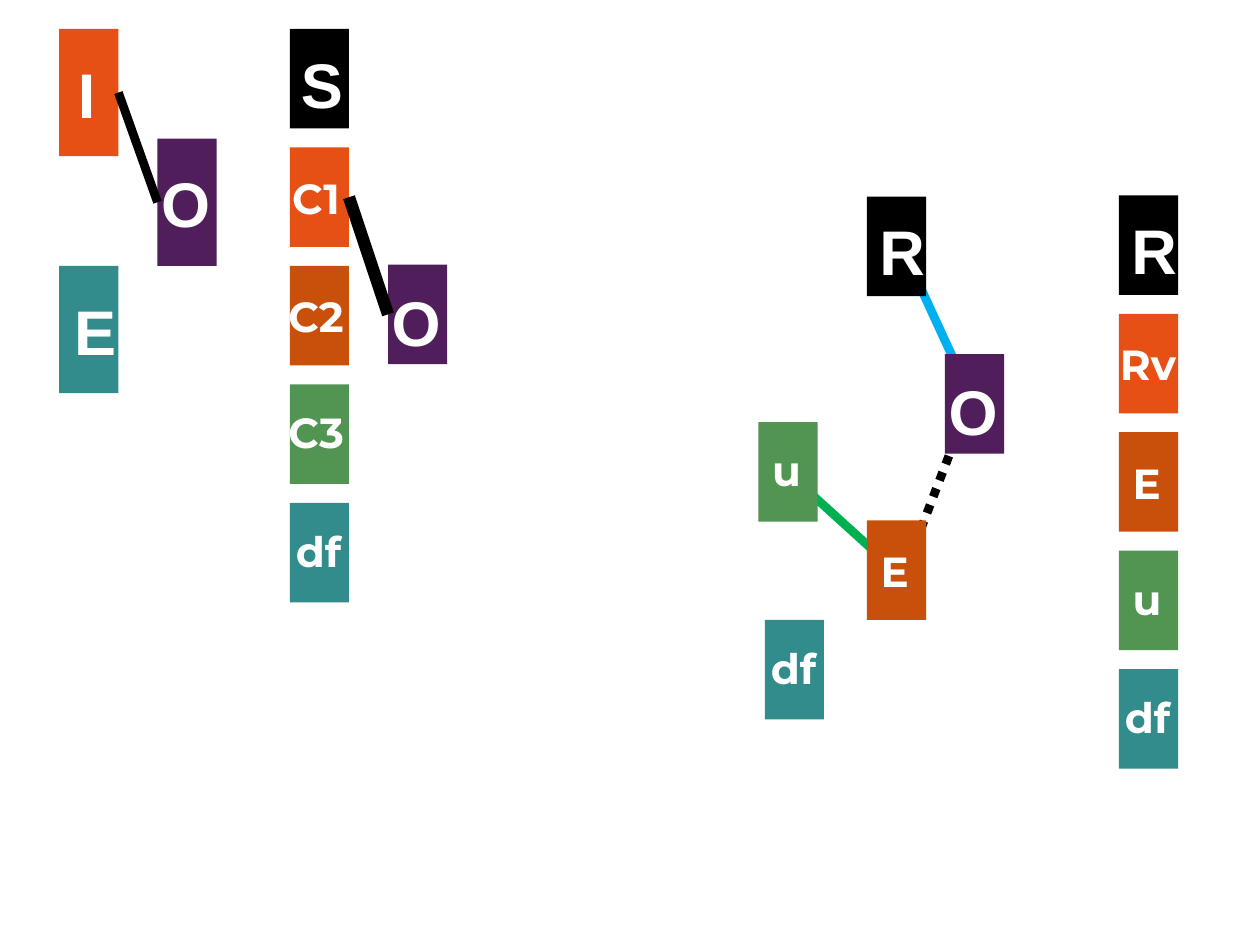
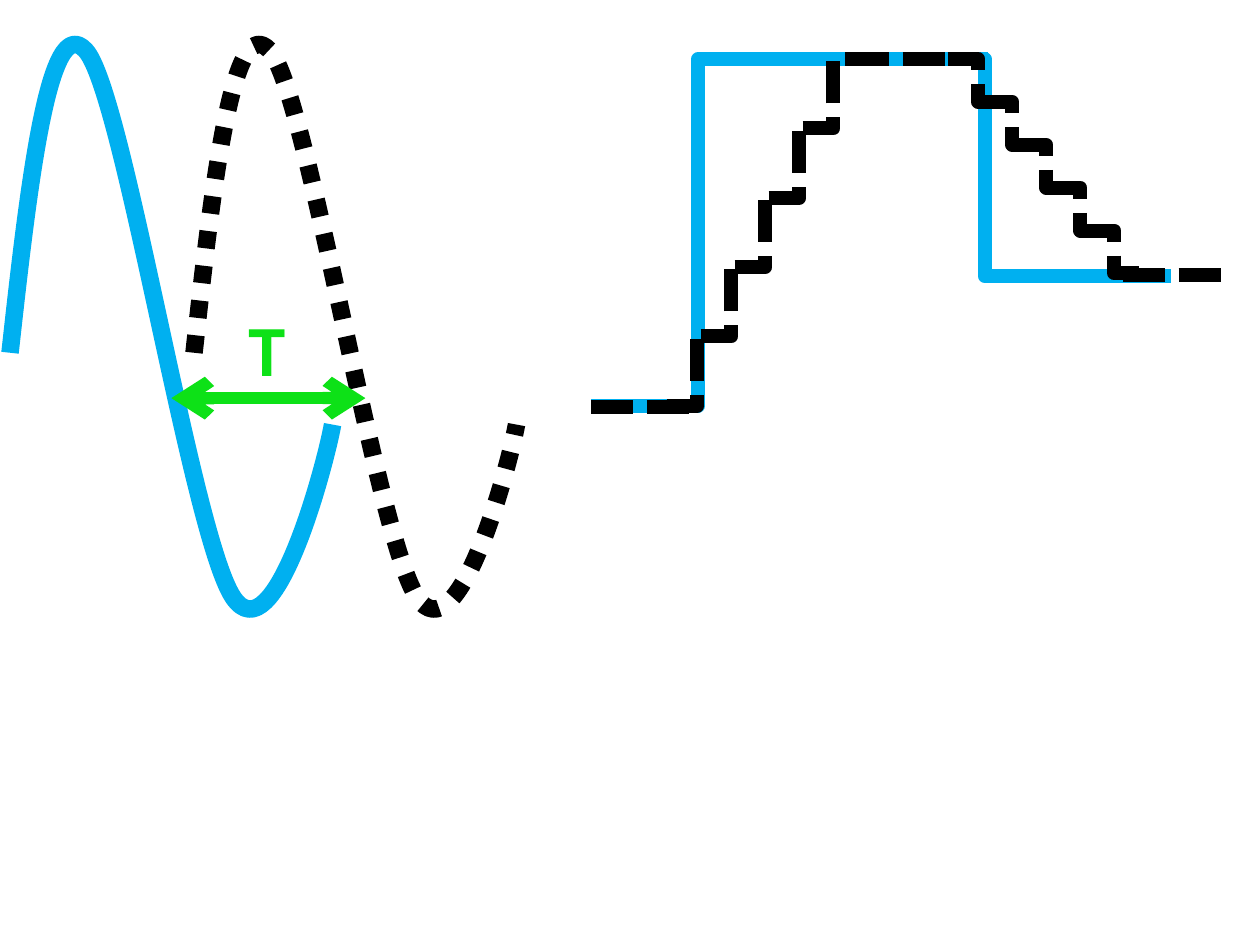
from dataclasses import dataclass

from lxml.etree import SubElement
from pptx import Presentation
from pptx.dml.color import RGBColor
from pptx.enum.dml import MSO_LINE as Dash
from pptx.enum.shapes import MSO_CONNECTOR as Connector, MSO_SHAPE as Shape
from pptx.enum.text import MSO_AUTO_SIZE as AutoSize
from pptx.oxml.ns import qn
from pptx.util import Inches, Pt


@dataclass(frozen=True)
class Theme:
    black: str = "000000"
    white: str = "FFFFFF"
    orange: str = "E65014"
    rust: str = "C8500A"
    green: str = "529452"
    teal: str = "328C8C"
    purple: str = "501E5A"
    signal_blue: str = "00B0F0"
    link_green: str = "00B050"
    delay_green: str = "0DE117"
    large: int = 36
    small: int = 24
    large_font: str = "Arial"
    small_font: str = "Montserrat"
    delay_font: str = "Noto Sans CJK JP"


THEME = Theme()
TILE_WIDTH, TILE_HEIGHT, TALL_HEIGHT = 0.47, 0.79, 1.01
TILE_PITCH = 0.94
LABEL_HEIGHTS = {THEME.large: 0.71, THEME.small: 0.5}


@dataclass(frozen=True)
class Kind:
    """A kind of tile; dx and dy place its label box relative to the tile."""
    text: str
    colour: str
    size: int
    width: float
    dx: float
    dy: float


KINDS = {
    "input": Kind("I", THEME.orange, THEME.large, 0.36, 0.05, 0.1),
    "environment": Kind("E", THEME.teal, THEME.large, 0.45, 0.02, 0.1),
    "output": Kind("O", THEME.purple, THEME.large, 0.62, -0.07, 0.1),
    "S": Kind("S", THEME.black, THEME.large, 0.49, -0.01, 0.08),
    "R": Kind("R", THEME.black, THEME.large, 0.52, 0, 0.08),
    "C1": Kind("C1", THEME.orange, THEME.small, 0.69, -0.08, 0.15),
    "C2": Kind("C2", THEME.rust, THEME.small, 0.69, -0.11, 0.15),
    "C3": Kind("C3", THEME.green, THEME.small, 0.69, -0.11, 0.13),
    "Rv": Kind("Rv", THEME.orange, THEME.small, 0.67, -0.09, 0.15),
    "E": Kind("E", THEME.rust, THEME.small, 0.45, 0.01, 0.15),
    "u": Kind("u", THEME.green, THEME.small, 0.43, 0.01, 0.13),
    "df": Kind("df", THEME.teal, THEME.small, 0.56, -0.05, 0.13),
}


def rgb(colour):
    return RGBColor.from_string(colour)


def style_line(line, colour, weight, dash=None):
    line.color.rgb = rgb(colour)
    line.width = Pt(weight)
    if dash is not None:
        line.dash_style = dash


def add_label(page, text, left, top, width, size, font, colour):
    box = page.shapes.add_textbox(Inches(left), Inches(top), Inches(width),
                                  Inches(LABEL_HEIGHTS[size]))
    frame = box.text_frame
    frame.word_wrap = False
    frame.auto_size = AutoSize.SHAPE_TO_FIT_TEXT
    span = frame.paragraphs[0].add_run()
    span.text = text
    span.font.name = font
    span.font.size = Pt(size)
    span.font.bold = True
    span.font.color.rgb = rgb(colour)


def add_tile(page, name, left, top, height=TILE_HEIGHT):
    kind = KINDS[name]
    tile = page.shapes.add_shape(Shape.RECTANGLE, Inches(left), Inches(top),
                                 Inches(TILE_WIDTH), Inches(height))
    tile.shadow.inherit = False
    tile.fill.solid()
    tile.fill.fore_color.rgb = rgb(kind.colour)
    tile.line.fill.background()
    extra = 0.06 if height == TALL_HEIGHT else 0
    font = THEME.large_font if kind.size == THEME.large else THEME.small_font
    add_label(page, kind.text, left + kind.dx, top + kind.dy + extra,
              kind.width, kind.size, font, THEME.white)
    return tile


def add_column(page, names, left, top):
    return [add_tile(page, name, left, top + row * TILE_PITCH)
            for row, name in enumerate(names)]


def add_line(page, start, end, colour, weight, dash=None, bend=None):
    """Draw a straight line, or an elbow turning at the fraction bend."""
    kind = Connector.STRAIGHT if bend is None else Connector.ELBOW
    line = page.shapes.add_connector(kind, *map(Inches, start + end))
    style_line(line.line, colour, weight, dash)
    properties = line._element.spPr
    SubElement(properties, qn("a:effectLst"))
    if bend is not None:
        guides = properties.find(qn("a:prstGeom")).find(qn("a:avLst"))
        SubElement(guides, qn("a:gd"), name="adj1",
                   fmla=f"val {round(bend * 100000)}")
    return line


def join_tiles(page, source, target, weight):
    line = add_line(page, (0, 0), (1, 1), THEME.black, weight)
    line.begin_connect(source, 3)
    line.end_connect(target, 1)


def add_arrowheads(line):
    outline = line._element.spPr.find(qn("a:ln"))
    for tag in ("a:headEnd", "a:tailEnd"):
        SubElement(outline, qn(tag), type="arrow")


def add_curve(page, points, colour, weight, dash=None):
    """Draw Bezier segments: a start point, then three points a segment."""
    start, *rest = [(Inches(x), Inches(y)) for x, y in points]
    builder = page.shapes.build_freeform(*start)
    builder.add_line_segments(rest, close=False)
    curve = builder.convert_to_shape()
    curve.shadow.inherit = False
    curve.fill.background()
    style_line(curve.line, colour, weight, dash)
    outline = next(curve._element.iter(qn("a:path")))
    corners = outline.findall(qn("a:lnTo"))
    for first in range(0, len(corners), 3):
        bezier = SubElement(outline, qn("a:cubicBezTo"))
        for corner in corners[first:first + 3]:
            bezier.append(corner[0])
            outline.remove(corner)


def build_tiles_page(page):
    add_line(page, (7.63, 3.36), (7.27, 4.3), THEME.black, 5, Dash.ROUND_DOT)
    add_line(page, (6.25, 3.75), (7.11, 4.53), THEME.link_green, 5)
    add_line(page, (7.19, 2.03), (7.66, 3.05), THEME.signal_blue, 5)

    source = add_tile(page, "input", 0.47, 0.23, TALL_HEIGHT)
    add_tile(page, "environment", 0.47, 2.11, TALL_HEIGHT)
    output = add_tile(page, "output", 1.25, 1.1, TALL_HEIGHT)
    join_tiles(page, source, output, 5)

    column = add_column(page, ("S", "C1", "C2", "C3", "df"), 2.3, 0.23)
    output = add_tile(page, "output", 3.08, 2.1)
    join_tiles(page, column[1], output, 7)

    add_column(page, ("R", "Rv", "E", "u", "df"), 8.88, 1.55)
    for name, left, top in (("output", 7.5, 2.81), ("R", 6.88, 1.56),
                            ("E", 6.88, 4.13), ("u", 6.02, 3.35),
                            ("df", 6.07, 4.92)):
        add_tile(page, name, left, top)


def add_stairs(page, left, top, rise):
    """Draw five dashed steps; a negative rise climbs the page."""
    for step in range(5):
        x, y = left + step * 0.27, top + step * rise
        add_line(page, (x, y), (x + 0.49, y + rise), THEME.black, 8,
                 Dash.SQUARE_DOT, bend=0.5)


def build_signals_page(page):
    wave = ((0.08, 2.8), (0.23, 1.44), (0.39, 0.08), (0.68, 0.4),
            (0.98, 0.72), (1.52, 4.24), (1.85, 4.74),
            (2.18, 5.23), (2.59, 3.66), (2.64, 3.37))
    delay = 1.46
    add_curve(page, wave, THEME.signal_blue, 10)
    add_curve(page, [(x + delay, y) for x, y in wave], THEME.black, 10,
              Dash.ROUND_DOT)
    add_arrowheads(add_line(page, (1.36, 3.16), (2.9, 3.16),
                            THEME.delay_green, 7))
    add_label(page, "T", 1.87, 2.44, 0.46, THEME.large, THEME.delay_font,
              THEME.delay_green)

    add_line(page, (4.69, 3.22), (7.84, 0.47), THEME.signal_blue, 8, bend=0.27)
    add_line(page, (6.91, 0.47), (9.29, 2.19), THEME.signal_blue, 8, bend=0.38)
    add_stairs(page, 5.29, 3.22, -0.55)
    add_stairs(page, 7.52, 0.47, 0.34)
    for left, right, y in ((6.72, 7.51, 0.47), (4.69, 5.47, 3.23),
                           (8.91, 9.69, 2.18)):
        add_line(page, (left, y), (right, y), THEME.black, 8, Dash.SQUARE_DOT)


def main():
    deck = Presentation()
    deck.slide_width, deck.slide_height = Inches(10), Inches(7.5)
    blank = deck.slide_layouts[6]
    for build_page in (build_tiles_page, build_signals_page):
        build_page(deck.slides.add_slide(blank))
    deck.save("out.pptx")


if __name__ == "__main__":
    main()
